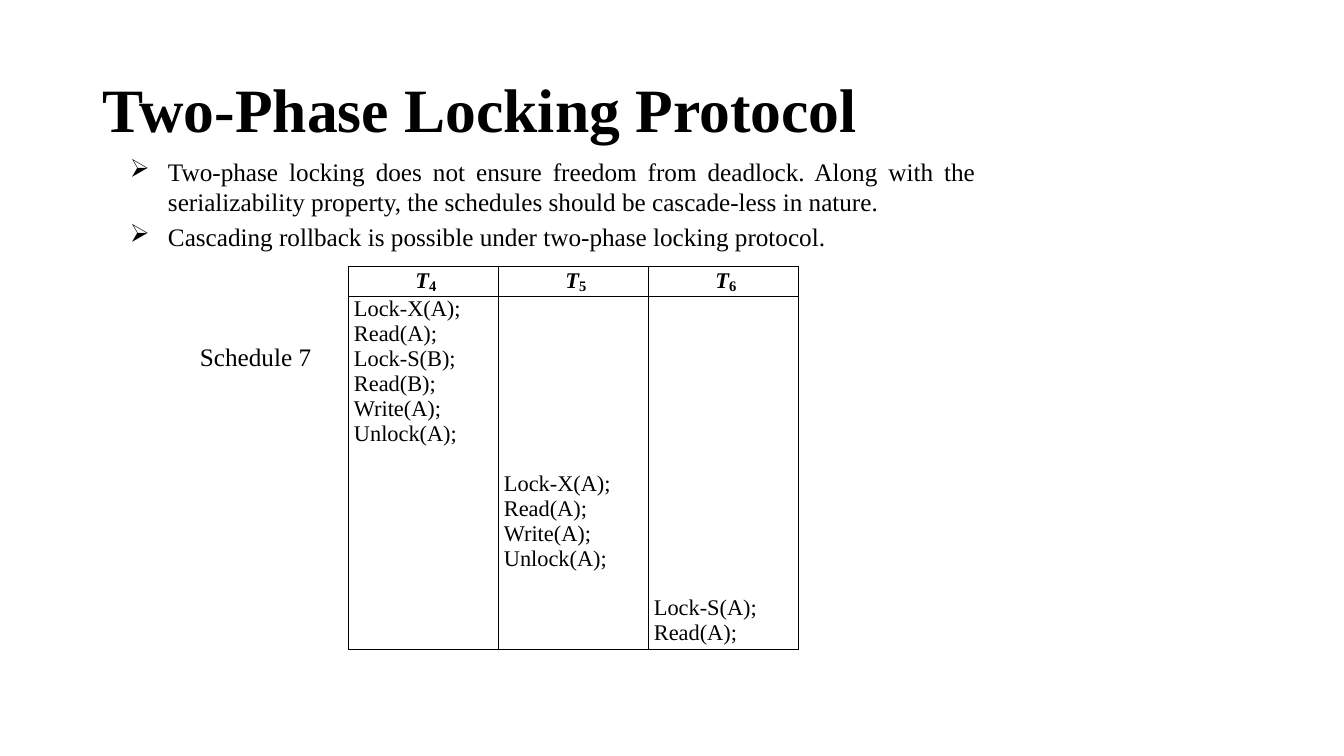
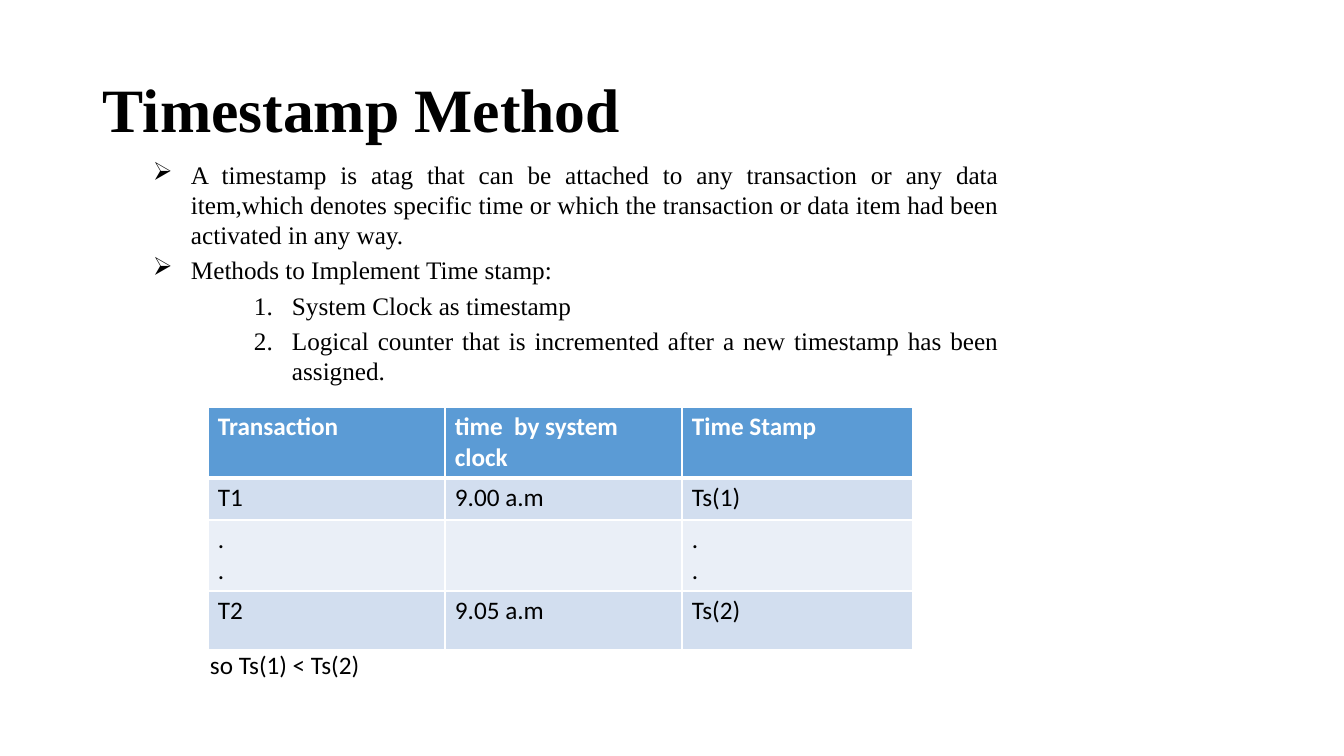
import pptx
import pptx.dml.color
import pptx.enum.text
import pptx.oxml
import pptx.oxml.ns
import pptx.util

ALIGN = pptx.enum.text.PP_ALIGN
ANCHOR = pptx.enum.text.MSO_ANCHOR
EMU_PER_PX = 914400 / 100.8
SERIF, SANS = "Times New Roman", "Calibri"
BLACK, WHITE = "000000", "FFFFFF"
HEADER_BLUE, BAND_DARK, BAND_LIGHT = "5B9BD5", "D2DEEF", "EAEFF7"
INSET = (10, 5, 10, 5)

# Content
LOCKING_TITLE = "Two-Phase Locking Protocol"
LOCKING_POINTS = [
    ("arrow", "Two-phase locking does not ensure freedom from deadlock. Along with "
              "the serializability property, the schedules should be cascade-less in nature."),
    ("arrow", "Cascading rollback is possible under two-phase locking protocol."),
]
# transaction number, start of its steps below the header, steps
SCHEDULE = [
    ("4", 0, ["Lock-X(A);", "Read(A);", "Lock-S(B);", "Read(B);", "Write(A);", "Unlock(A);"]),
    ("5", 175, ["Lock-X(A);", "Read(A);", "Write(A);", "Unlock(A);"]),
    ("6", 299, ["Lock-S(A);", "Read(A);"]),
]
TIMESTAMP_TITLE = "Timestamp Method"
TIMESTAMP_POINTS = [
    ("arrow", "A timestamp is atag that can be attached to any transaction or any data "
              "item,which denotes specific time or which the transaction or data item "
              "had been activated in any way."),
    ("arrow", "Methods to Implement Time stamp:"),
    ("number", "System Clock as timestamp"),
    ("number", "Logical counter that is incremented after a new timestamp has been assigned."),
]
TIMESTAMPS = [
    [["Transaction"], ["time  by system clock"], ["Time Stamp"]],
    [["T1"], ["9.00 a.m"], ["Ts(1)"]],
    [[".", "."], [], [".", "."]],
    [["T2"], ["9.05 a.m"], ["Ts(2)"]],
]
# kind of point: left margin and marker
MARKERS = {
    "arrow": (38, '<a:buChar {} char="➢"/>'),
    "number": (139, '<a:buAutoNum {} type="arabicPeriod"/>'),
}
HANGING = 38


def px(length):
    return pptx.util.Emu(round(length * EMU_PER_PX))


def color(code):
    return pptx.dml.color.RGBColor.from_string(code)


def element(xml):
    return pptx.oxml.parse_xml(xml.replace("{}", pptx.oxml.ns.nsdecls("a")))


def add_run(paragraph, text, size=18, font=SERIF, ink=BLACK, bold=False, italic=False):
    run = paragraph.add_run()
    run.text = text
    run.font.size = pptx.util.Pt(size)
    run.font.name = font
    run.font.color.rgb = color(ink)
    run.font.bold = bold
    run.font.italic = italic
    return run


def add_paragraphs(frame, lines):
    """Yield one paragraph for each line, starting with the existing one."""
    for index, line in enumerate(lines):
        yield (frame.add_paragraph() if index else frame.paragraphs[0]), line


def set_margins(target, margins):
    left, top, right, bottom = map(px, margins)
    target.margin_left, target.margin_top = left, top
    target.margin_right, target.margin_bottom = right, bottom


def add_text_box(slide, box, margins=INSET):
    frame = slide.shapes.add_textbox(*map(px, box)).text_frame
    frame.word_wrap = True
    set_margins(frame, margins)
    return frame


def add_title_slide(presentation, title):
    slide = presentation.slides.add_slide(presentation.slide_layouts[6])
    frame = add_text_box(slide, (93, 40, 1159, 146))
    frame.vertical_anchor = ANCHOR.MIDDLE
    frame.paragraphs[0].line_spacing = 0.9
    add_run(frame.paragraphs[0], title, size=44, bold=True)
    return slide


def add_points(slide, box, points):
    frame = add_text_box(slide, box)
    for paragraph, (kind, text) in add_paragraphs(frame, points):
        margin, marker = MARKERS[kind]
        properties = paragraph._p.get_or_add_pPr()
        properties.set("marL", str(px(margin)))
        properties.set("indent", str(px(-HANGING)))
        properties.append(element(marker))
        paragraph.alignment = ALIGN.JUSTIFY
        if paragraph._p is not frame.paragraphs[0]._p:
            paragraph.space_before = pptx.util.Pt(3.6)
        add_run(paragraph, text)


def add_table(slide, left, top, widths, heights):
    box = (left, top, sum(widths), sum(heights))
    table = slide.shapes.add_table(len(heights), len(widths), *map(px, box)).table
    table.first_row = table.horz_banding = False
    for column, width in zip(table.columns, widths):
        column.width = px(width)
    for row, height in zip(table.rows, heights):
        row.height = px(height)
    return table


def style_cell(cell, fill, line, widths, margins=INSET):
    """Widths are in points, for the left, right, top and bottom border."""
    set_margins(cell, margins)
    properties = cell._tc.get_or_add_tcPr()
    for side, width in zip("LRTB", widths):
        properties.append(element(
            f'<a:ln{side} {{}} w="{pptx.util.Pt(width)}"><a:solidFill>'
            f'<a:srgbClr val="{line}"/></a:solidFill></a:ln{side}>'))
    cell.fill.solid()
    cell.fill.fore_color.rgb = color(fill)


def build_locking(presentation):
    slide = add_title_slide(presentation, LOCKING_TITLE)
    add_points(slide, (120, 151, 866, 583), LOCKING_POINTS)

    # Schedule: one column for each transaction
    table = add_table(slide, 348, 266, [150] * len(SCHEDULE), [28, 349])
    for column, (number, start, steps) in enumerate(SCHEDULE):
        header, body = table.cell(0, column), table.cell(1, column)
        for cell, offset in ((header, 0), (body, start)):
            style_cell(cell, WHITE, BLACK, [0.31] * 4, (6, offset, 0, 0))
        paragraph = header.text_frame.paragraphs[0]
        paragraph.alignment = ALIGN.CENTER
        add_run(paragraph, "T", size=16, bold=True, italic=True)
        subscript = add_run(paragraph, number, bold=True)
        subscript._r.get_or_add_rPr().set("baseline", "-10000")
        for paragraph, step in add_paragraphs(body.text_frame, steps):
            add_run(paragraph, step, size=16)

    caption = add_text_box(slide, (200, 341, 142, 30), (0, 0, 0, 0))
    add_run(caption.paragraphs[0], "Schedule 7")


def build_timestamp(presentation):
    slide = add_title_slide(presentation, TIMESTAMP_TITLE)
    add_points(slide, (143, 154, 866, 574), TIMESTAMP_POINTS)

    # Timestamps: header row, then alternating bands
    table = add_table(slide, 208, 407, [237, 237, 231], [71, 42, 71, 59])
    for row, cells in enumerate(TIMESTAMPS):
        is_header = row == 0
        fill = HEADER_BLUE if is_header else (BAND_LIGHT, BAND_DARK)[row % 2]
        borders = (1, 1, 3 if row == 1 else 1, 3 if is_header else 1)
        for column, lines in enumerate(cells):
            cell = table.cell(row, column)
            style_cell(cell, fill, WHITE, borders)
            for paragraph, line in add_paragraphs(cell.text_frame, lines):
                add_run(paragraph, line, font=SANS, bold=is_header,
                        ink=WHITE if is_header else BLACK)

    conclusion = add_text_box(slide, (200, 644, 773, 40))
    add_run(conclusion.paragraphs[0], "so Ts(1) < Ts(2)", font=SANS)


def main():
    presentation = pptx.Presentation()
    presentation.slide_width, presentation.slide_height = px(1344), px(756)
    build_locking(presentation)
    build_timestamp(presentation)
    presentation.save("out.pptx")


if __name__ == "__main__":
    main()
